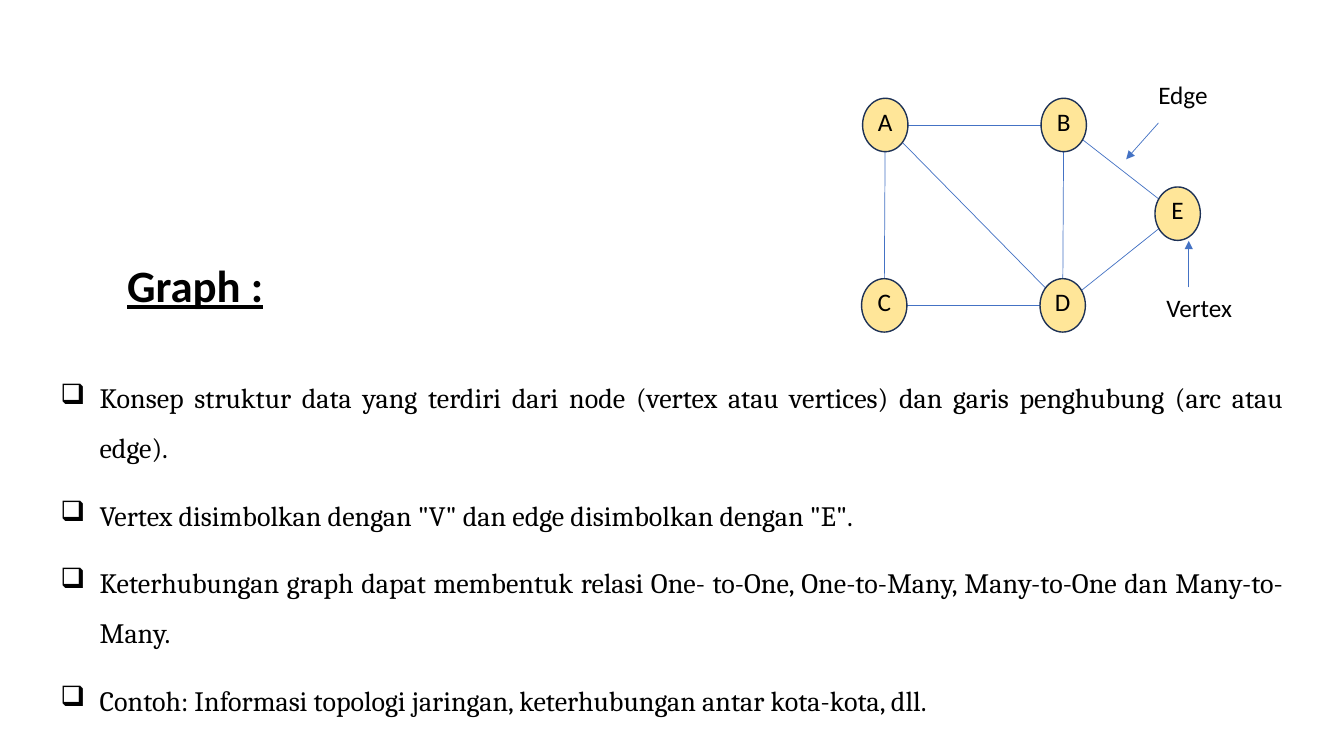
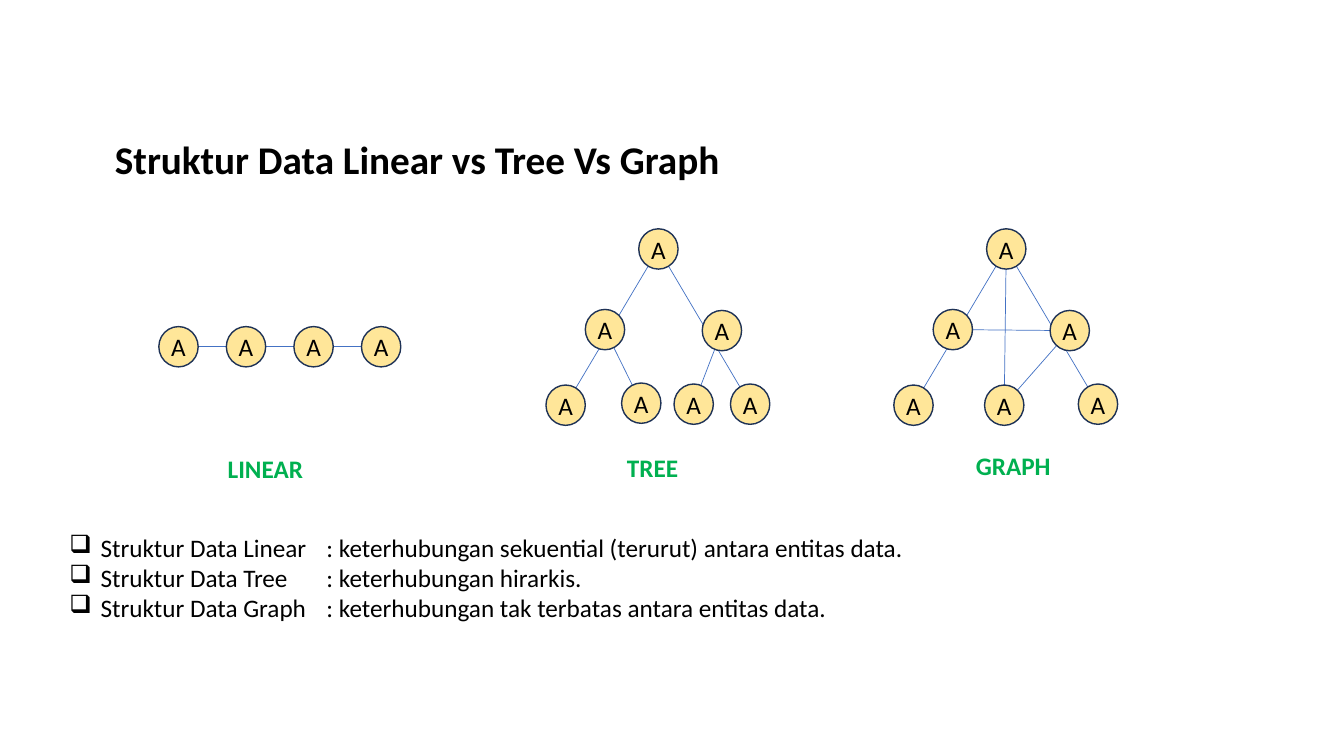
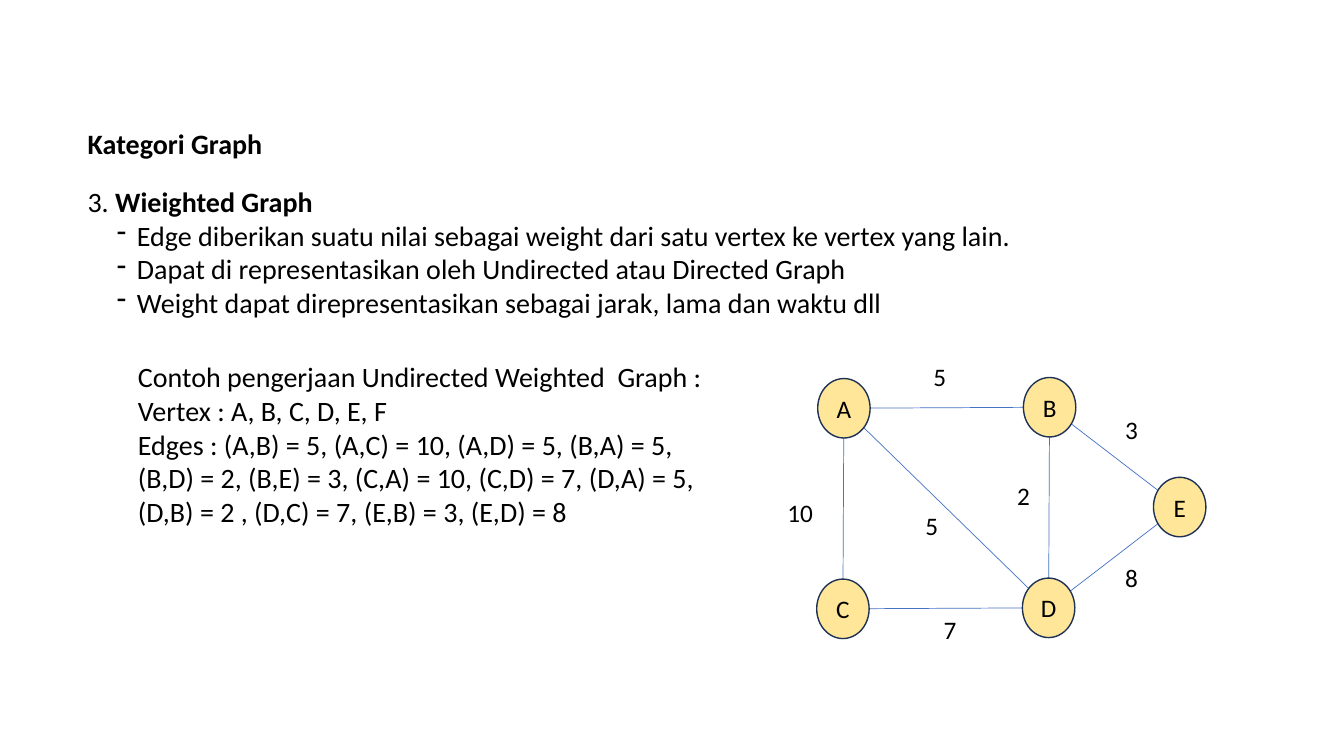
"""Build three slides about graph data structures."""
from dataclasses import dataclass

from lxml.etree import SubElement
from pptx import Presentation
from pptx.dml.color import RGBColor
from pptx.enum.shapes import MSO_CONNECTOR, MSO_SHAPE
from pptx.enum.text import MSO_ANCHOR, MSO_AUTO_SIZE, PP_ALIGN
from pptx.oxml.ns import qn
from pptx.util import Inches, Pt


@dataclass(frozen=True)
class Theme:
    text: RGBColor = RGBColor(0x00, 0x00, 0x00)
    caption: RGBColor = RGBColor(0x00, 0xB0, 0x50)
    node: RGBColor = RGBColor(0xFF, 0xE6, 0x99)
    outline: RGBColor = RGBColor(0x1E, 0x32, 0x56)
    edge: RGBColor = RGBColor(0x44, 0x72, 0xC4)
    font: str = "Calibri"
    serif: str = "Cambria"
    label: Pt = Pt(18)
    body: Pt = Pt(20)
    heading: Pt = Pt(28)
    display: Pt = Pt(32)


THEME = Theme()
GRAPH_EDGES = ["AD", "DE", "BE", "CD", "AB", "AC", "BD"]


def set_attrs(obj, values):
    for name, value in values.items():
        setattr(obj, name, value)


def add_run(p, text, **fmt):
    r = p.add_run()
    r.text = text
    color = fmt.pop("color", THEME.text)
    set_attrs(r.font, {"name": THEME.font, "size": THEME.label, **fmt})
    r.font.color.rgb = color


def add_bullet(p, char, left, hang, tab=None):
    pPr = p._p.get_or_add_pPr()
    pPr.set("marL", str(Inches(left)))
    pPr.set("indent", str(-Inches(hang)))
    SubElement(pPr, qn("a:buChar"), char=char)
    if tab:
        tabs = SubElement(pPr, qn("a:tabLst"))
        SubElement(tabs, qn("a:tab"), pos=str(Inches(tab)), algn="l")


def add_paragraphs(tf, lines, bullet=None, layout=None, **fmt):
    for line in lines:
        p = tf.paragraphs[0] if not tf.paragraphs[0].runs else tf.add_paragraph()
        set_attrs(p, layout or {})
        if bullet:
            add_bullet(p, *bullet)
        add_run(p, line, **fmt)


def add_text(slide, box, lines=(), **fmt):
    tf = slide.shapes.add_textbox(*map(Inches, box)).text_frame
    set_attrs(tf, {"word_wrap": True, "auto_size": MSO_AUTO_SIZE.SHAPE_TO_FIT_TEXT})
    add_paragraphs(tf, lines, **fmt)
    return tf


def add_titled_slide(prs, title, box, **fmt):
    slide = prs.slides.add_slide(prs.slide_layouts[5])
    sp = slide.shapes.title
    set_attrs(sp, dict(zip(("left", "top", "width", "height"), map(Inches, box))))
    tf = sp.text_frame
    set_attrs(tf, {"word_wrap": True, "auto_size": MSO_AUTO_SIZE.NONE,
                   "vertical_anchor": MSO_ANCHOR.TOP})
    add_paragraphs(tf, [title], layout={"alignment": PP_ALIGN.LEFT}, bold=True, **fmt)
    return slide


def add_line(slide, start, end, arrow=False):
    line = slide.shapes.add_connector(MSO_CONNECTOR.STRAIGHT, *map(Inches, (*start, *end)))
    line.line.width = Pt(0.5)
    line.line.color.rgb = THEME.edge
    spPr = line._element.spPr
    if arrow:
        SubElement(spPr.find(qn("a:ln")), qn("a:tailEnd"), type="triangle")
    SubElement(spPr, qn("a:effectLst"))


def add_node(slide, center, size, label, anchor):
    (x, y), (w, h) = center, size
    sp = slide.shapes.add_shape(MSO_SHAPE.OVAL, *map(Inches, (x - w / 2, y - h / 2, w, h)))
    sp.shadow.inherit = False
    sp.fill.solid()
    sp.fill.fore_color.rgb = THEME.node
    sp.line.color.rgb = THEME.outline
    sp.line.width = Pt(1)
    tf = sp.text_frame
    set_attrs(tf, {"margin_left": 0, "margin_right": 0, "margin_top": 0,
                   "margin_bottom": 0, "word_wrap": False, "vertical_anchor": anchor})
    add_paragraphs(tf, [label], layout={"alignment": PP_ALIGN.CENTER})


def add_graph(slide, nodes, edges, size, label=None, anchor=MSO_ANCHOR.MIDDLE):
    for start, end in edges:
        add_line(slide, nodes[start], nodes[end])
    for name, center in nodes.items():
        add_node(slide, center, size, label or name, anchor)


def build_definition(prs):
    slide = add_titled_slide(prs, "Graph :", (1.16, 2.51, 1.8, 0.64),
                             size=THEME.display, underline=True)
    add_text(slide, (0.5, 3.56, 12.33, 3.08), [
        "Konsep struktur data yang terdiri dari node (vertex atau vertices) dan garis "
        "penghubung (arc atau edge).",
        'Vertex disimbolkan dengan "V" dan edge disimbolkan dengan "E".',
        "Keterhubungan graph dapat membentuk relasi One- to-One, One-to-Many, "
        "Many-to-One dan Many-to-Many.",
        "Contoh: Informasi topologi jaringan, keterhubungan antar kota-kota, dll.",
    ], bullet=("❑", 0.39, 0.39), name=THEME.serif, size=THEME.body,
        layout={"alignment": PP_ALIGN.JUSTIFY, "line_spacing": 1.5,
                "space_before": Pt(6), "space_after": Pt(6)})
    nodes = {"A": (8.78, 1.24), "B": (10.55, 1.24), "C": (8.77, 3.03),
             "D": (10.54, 3.03), "E": (11.68, 2.12)}
    add_graph(slide, nodes, GRAPH_EDGES, (0.45, 0.53), anchor=MSO_ANCHOR.TOP)
    add_text(slide, (11.39, 0.74, 0.81, 0.4), ["Edge"])
    add_text(slide, (11.47, 2.85, 1, 0.4), ["Vertex"])
    add_line(slide, (11.49, 1.22), (11.17, 1.58), arrow=True)
    add_line(slide, (11.79, 2.85), (11.79, 2.39), arrow=True)


def build_comparison(prs):
    slide = add_titled_slide(prs, "Struktur Data Linear vs Tree Vs Graph",
                             (1.04, 1.29, 6.6, 0.57), size=THEME.heading)
    linear = {i: (1.77 + 0.67 * i, 3.44) for i in range(4)}
    shared = {"root": (6.53, 2.47), "left": (6, 3.27), "right": (7.16, 3.28),
              "first": (5.61, 4.02), "last": (7.44, 4.01)}
    outer = [("root", "first"), ("root", "last")]
    tree = {**shared, "second": (6.36, 4), "third": (6.88, 4.01)}
    graph = {name: (x + 3.45, y) for name, (x, y) in shared.items()}
    graph["middle"] = (9.96, 4.02)
    diagrams = [
        (linear, [(i, i + 1) for i in range(3)]),
        (tree, outer + [("left", "second"), ("right", "third")]),
        (graph, outer + [("left", "right"), ("root", "middle"), ("right", "middle")]),
    ]
    for nodes, edges in diagrams:
        add_graph(slide, nodes, edges, (0.39, 0.4), label="A")
    for caption, x, y in [("LINEAR", 2.16, 4.45), ("TREE", 6.12, 4.44), ("GRAPH", 9.58, 4.42)]:
        add_text(slide, (x, y, 1.16, 0.4), [caption], bold=True, color=THEME.caption)
    add_text(slide, (0.59, 5.23, 8.6, 1.01), [
        "Struktur Data Linear \t: keterhubungan sekuential (terurut) antara entitas data.",
        "Struktur Data Tree \t: keterhubungan hirarkis.",
        "Struktur Data Graph \t: keterhubungan tak terbatas antara entitas data.",
    ], bullet=("❑", 0.31, 0.31, 2.55))


def build_weighted(prs):
    slide = add_titled_slide(prs, "Kategori Graph", (0.77, 1.2, 2.2, 0.44), size=THEME.body)
    tf = add_text(slide, (0.77, 1.78, 9.84, 1.45), ["3. "], size=THEME.body)
    add_run(tf.paragraphs[0], "Wieighted Graph", size=THEME.body, bold=True)
    add_paragraphs(tf, [
        "Edge diberikan suatu nilai sebagai weight dari satu vertex ke vertex yang lain.",
        "Dapat di representasikan oleh Undirected atau Directed Graph",
        "Weight dapat direpresentasikan sebagai jarak, lama dan waktu dll",
    ], bullet=("-", 0.49, 0.2), size=THEME.body)
    add_text(slide, (1.27, 3.52, 6, 1.78), [
        "Contoh pengerjaan Undirected Weighted  Graph :",
        "Vertex : A, B, C, D, E, F",
        "Edges : (A,B) = 5, (A,C) = 10, (A,D) = 5, (B,A) = 5,",
        "(B,D) = 2, (B,E) = 3, (C,A) = 10, (C,D) = 7, (D,A) = 5,",
        "(D,B) = 2 , (D,C) = 7, (E,B) = 3, (E,D) = 8",
    ], size=THEME.body)
    nodes = {"A": (8.37, 4.05), "B": (10.41, 4.04), "C": (8.36, 6.04),
             "D": (10.4, 6.03), "E": (11.7, 5.03)}
    add_graph(slide, nodes, GRAPH_EDGES, (0.52, 0.59))
    weights = [("5", 9.16, 3.54), ("7", 9.26, 6.05), ("10", 7.71, 4.88), ("3", 11.06, 4.06),
               ("8", 11.06, 5.53), ("5", 9.08, 5.01), ("2", 9.99, 4.72)]
    for weight, x, y in weights:
        add_text(slide, (x, y, 0.52 if len(weight) > 1 else 0.33, 0.4), [weight])


def main():
    prs = Presentation()
    set_attrs(prs, {"slide_width": Inches(13.33), "slide_height": Inches(7.5)})
    build_definition(prs)
    build_comparison(prs)
    build_weighted(prs)
    prs.save("out.pptx")


if __name__ == "__main__":
    main()
